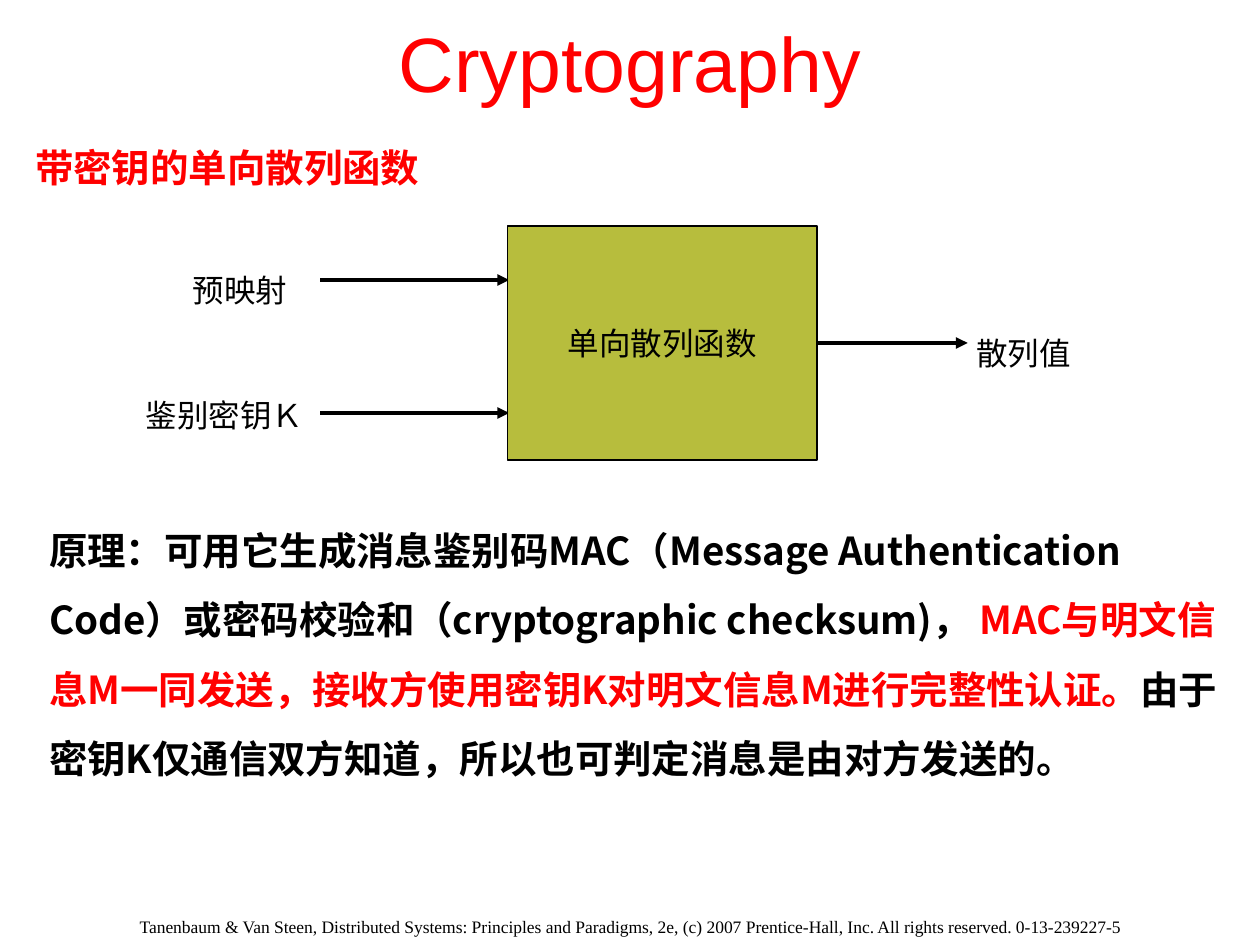
from lxml import etree
from pptx import Presentation
from pptx.dml.color import RGBColor
from pptx.enum.shapes import MSO_CONNECTOR, MSO_SHAPE
from pptx.enum.text import MSO_ANCHOR, PP_ALIGN
from pptx.oxml.ns import qn
from pptx.util import Pt

LINE, RECT = MSO_CONNECTOR.STRAIGHT, MSO_SHAPE.RECTANGLE
TOP, MID = MSO_ANCHOR.TOP, MSO_ANCHOR.MIDDLE
LEFT, CENTER = PP_ALIGN.LEFT, PP_ALIGN.CENTER
SANS, SERIF, CJK = "Arial", "Times New Roman", "Noto Sans CJK SC"
BLACK, RED, OLIVE = "000000", "FF0000", "B7BD3D"


def color(code):
    return RGBColor.from_string(code)


def write(shape, runs, size, face, bold=False, align=LEFT, anchor=TOP,
          space=1.0, wrap=True):
    frame = shape.text_frame
    frame.word_wrap = wrap
    frame.vertical_anchor = anchor
    para = frame.paragraphs[0]
    para.alignment = align
    para.line_spacing = space
    for text, code in runs:
        run = para.add_run()
        run.text = text
        font = run.font
        font.size, font.name, font.bold = Pt(size), face, bold
        font.color.rgb = color(code)
        # Chinese glyphs take their own typeface
        east = etree.SubElement(run._r.get_or_add_rPr(), qn("a:ea"))
        east.set("typeface", CJK)


deck = Presentation()
deck.slide_width, deck.slide_height = Pt(720), Pt(540)
shapes = deck.slides.add_slide(deck.slide_layouts[6]).shapes

# Footer
foot = shapes.add_textbox(Pt(0), Pt(520), Pt(720), Pt(13.7))
write(foot, [("Tanenbaum & Van Steen, Distributed Systems: Principles and "
              "Paradigms, 2e, (c) 2007 Prentice-Hall, Inc. All rights "
              "reserved. 0-13-239227-5", BLACK)], 10, SERIF, align=CENTER)

# Heading
head = shapes.add_textbox(Pt(13), Pt(68.4), Pt(263), Pt(44.6))
write(head, [("带密钥的单向散列函数", RED)], 22, CJK, bold=True, space=1.4)

# Input and output labels
labels = [("预映射", 103, 151.2, 77), ("鉴别密钥Ｋ", 76.3, 222.5, 111),
          ("散列值", 550.8, 187.2, 78.5)]
for text, x, y, width in labels:
    label = shapes.add_textbox(Pt(x), Pt(y), Pt(width), Pt(34.5))
    write(label, [(text, BLACK)], 18, SERIF)

# Arrows: two inputs, one output
arrows = []
for x, y, end in [(183, 160, 291), (183, 236, 291), (467, 196, 553)]:
    arrow = shapes.add_connector(LINE, Pt(x), Pt(y), Pt(end), Pt(y))
    arrow.line.color.rgb = color(BLACK)
    arrow.line.width = Pt(2.25)
    tip = etree.SubElement(arrow.line._get_or_add_ln(), qn("a:tailEnd"))
    tip.set("type", "triangle")
    etree.SubElement(arrow._element.spPr, qn("a:effectLst"))
    arrows.append(arrow)

# Hash function box, centred on the output arrow
box = shapes.add_shape(RECT, Pt(290), Pt(129), Pt(177), Pt(134))
box.shadow.inherit = False
box.fill.solid()
box.fill.fore_color.rgb = color(OLIVE)
box.line.color.rgb = color(BLACK)
box.line.width = Pt(1)
write(box, [("单向散列函数", BLACK)], 18, SERIF, align=CENTER, anchor=MID,
      wrap=False)
arrows[-1].begin_connect(box, 3)

# Principle
body = shapes.add_textbox(Pt(21), Pt(284.5), Pt(684), Pt(167))
write(body, [
    ("原理：可用它生成消息鉴别码MAC（Message Authentication Code）"
     "或密码校验和（cryptographic checksum)， ", BLACK),
    ("MAC与明文信息M一同发送，接收方使用密钥K对明文信息M进行完整性认证。", RED),
    ("由于密钥K仅通信双方知道，所以也可判定消息是由对方发送的。", BLACK),
], 22, CJK, bold=True, space=1.5)

# Title
title = shapes.add_textbox(Pt(0), Pt(0), Pt(720), Pt(70))
write(title, [("Cryptography", RED)], 44, SANS, align=CENTER, anchor=MID)

deck.save("out.pptx")
